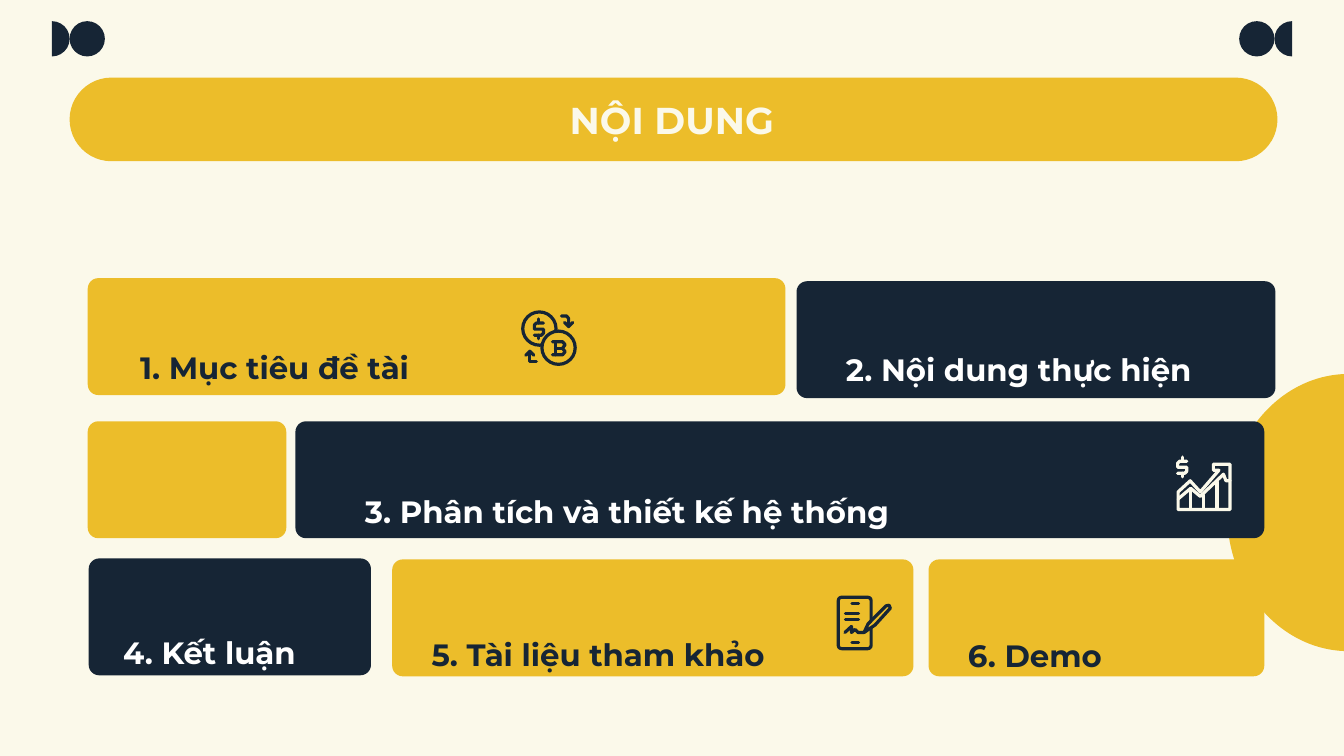
from lxml.etree import SubElement
from pptx import Presentation
from pptx.dml.color import RGBColor
from pptx.enum.shapes import MSO_SHAPE as Shape
from pptx.enum.text import MSO_ANCHOR as Anchor, PP_ALIGN as Align
from pptx.oxml.ns import qn
from pptx.util import Inches, Pt

GOLD, NAVY, CREAM, WHITE = "ECBD2A", "162535", "FBF9EA", "FFFFFF"
FONT = "Montserrat"
CELL = Inches(0.01)  # one step of a 1333 x 750 grid
COLS, ROWS = 1333, 750
HALF = (54, 162)  # pie angles of a left half disc
TILE = 116
ICON = 55

# x, y, width, fill, label, label offset x, y, label width
TILES = [
    (87, 276, 692, GOLD, "1. Mục tiêu đề tài", 39, 20, 490),
    (790, 279, 475, NAVY, "2. Nội dung thực hiện", 36, 19, 402),
    (87, 418, 197, GOLD, None, 0, 0, 0),
    (293, 418, 961, NAVY, "3. Phân tích và thiết kế hệ thống", 56, 21, 743),
    (88, 554, 280, NAVY, "4. Kết luận", 21, 25, 309),
    (389, 555, 517, GOLD, "5. Tài liệu tham khảo", 26, 26, 481),
    (921, 555, 333, GOLD, "6. Demo", 26, 27, 307),
]

# Icon strokes, in grid steps from the corner of the icon
DOLLAR = [
    [(11, 5.5), (4, 5.5), (2, 7.5), (2, 11.5), (11, 11.5), (11, 15.5),
     (9, 17.5), (2, 17.5)],
    [(6.5, 1.5), (6.5, 5.5)],
    [(6.5, 17.5), (6.5, 21)],
]
COINS = [
    [(31, 31), (41, 31), (43.5, 34), (41, 37.5), (43.5, 41), (41, 44), (31, 44)],
    [(34, 31), (34, 44)],
    [(34, 37.5), (41, 37.5)],
    [(15, 50.5), (8.5, 50.5), (8.5, 41)],
    [(4.5, 44.5), (8.5, 40.5), (12.5, 44.5)],
    [(40, 5.5), (45, 5.5), (47, 8), (47, 15)],
    [(43, 12), (47, 16), (51, 12)],
]
GROWTH = [
    [(2.5, 53.5), (2.5, 36), (14.5, 25), (24.5, 36), (43, 14.5), (37.5, 14.5),
     (37.5, 8.5), (54, 8.5), (54, 53.5), (2.5, 53.5)],
    [(2.5, 43), (15, 32.5), (24.5, 40.5), (47.5, 18.5), (50, 25), (54, 25)],
    [(15, 34), (15, 53)],
    [(28, 39), (28, 53)],
    [(41, 26), (41, 53)],
]
LINES = [[(x, y), (21.5, y)]
         for x, y in ((15, 7.5), (8.5, 17.5), (8.5, 23.5), (15, 46.5))]
SIGN = [[(8, 36.5), (14.5, 30.5), (14.5, 36.5), (18, 33.5), (21, 36.5), (27, 36.5)]]
PEN = [(27, 36.5), (31, 28), (49, 10), (52, 9.5), (53, 12.5), (38, 29), (27, 36.5)]


def tint(code):
    return RGBColor.from_string(code)


def grid(*steps):
    return [round(step * CELL) for step in steps]


def paint(shape, fill=None, line=None):
    shape.shadow.inherit = False
    if fill:
        shape.fill.solid()
        shape.fill.fore_color.rgb = tint(fill)
    else:
        shape.fill.background()
    if line:
        shape.line.width = Pt(2.3)
        shape.line.color.rgb = tint(line)
        edge = shape.line._get_or_add_ln()
        edge.set("cap", "rnd")
        SubElement(edge, qn("a:round"))
    else:
        shape.line.fill.background()


def block(shapes, kind, box, fill=None, line=None, adjust=()):
    shape = shapes.add_shape(kind, *grid(*box))
    for i, value in enumerate(adjust):
        shape.adjustments[i] = value
    paint(shape, fill, line)
    return shape


def label(slide, box, text, size, color, align, space, pad, anchor):
    frame = slide.shapes.add_textbox(*grid(*box)).text_frame
    inset = Inches(pad)
    look = dict(word_wrap=True, vertical_anchor=anchor, margin_left=inset,
                margin_right=inset, margin_top=inset, margin_bottom=inset)
    para = frame.paragraphs[0]
    run = para.add_run()
    run.text = text
    run.font.color.rgb = tint(color)
    for part, values in (
        (frame, look),
        (para, dict(alignment=align, line_spacing=space)),
        (run.font, dict(name=FONT, size=Pt(size), bold=True)),
    ):
        for key, value in values.items():
            setattr(part, key, value)


def stroke(shapes, x, y, points, color, fill=None):
    spots = [grid(x + dx, y + dy) for dx, dy in points]
    form = shapes.build_freeform(*spots[0], scale=1.0)
    form.add_line_segments(spots[1:], close=points[0] == points[-1])
    paint(form.convert_to_shape(), fill, color)


def draw(shapes, x, y, strokes, color):
    for points in strokes:
        stroke(shapes, x, y, points, color)


def decor(slide):
    block(slide.shapes, Shape.PIE, (1217, 371, 241, 275), GOLD, adjust=HALF)
    disc = 35
    for pie, dot, turn in ((34, 69, 180), (1264, 1229, 0)):
        pair = slide.shapes.add_group_shape().shapes
        half = block(pair, Shape.PIE, (pie, 21, disc, disc), NAVY, adjust=HALF)
        half.rotation = turn
        block(pair, Shape.OVAL, (dot, 21, disc, disc), NAVY)


def banner(slide, x, y, wide, high):
    block(slide.shapes, Shape.ROUNDED_RECTANGLE, (x, y, wide, high), GOLD,
          adjust=(0.5,))
    label(slide, (x + 36, y, 1123, high), "NỘI DUNG", 26.7, CREAM,
          Align.CENTER, 1.0, 0, Anchor.MIDDLE)


def tile(slide, x, y, wide, fill, text, dx, dy, span):
    block(slide.shapes, Shape.ROUNDED_RECTANGLE, (x, y, wide, TILE), fill,
          adjust=(0.09,))
    if text:
        color, align = ((WHITE, Align.JUSTIFY) if fill == NAVY
                        else (NAVY, Align.LEFT))
        label(slide, (x + dx, y + dy, span, 150), text, 22, color, align,
              2.0, 0.13, Anchor.TOP)


def coins(slide, x, y):
    shapes = slide.shapes.add_group_shape().shapes
    for dx, dy in ((1.5, 1.5), (20.5, 20.5)):
        block(shapes, Shape.OVAL, (x + dx, y + dy, 33, 33), GOLD, NAVY)
    draw(shapes, x + 11, y + 7, DOLLAR, NAVY)
    draw(shapes, x, y, COINS, NAVY)


def growth(slide, x, y):
    shapes = slide.shapes.add_group_shape().shapes
    draw(shapes, x, y, DOLLAR + GROWTH, CREAM)


def phone(slide, x, y):
    shapes = slide.shapes.add_group_shape().shapes
    block(shapes, Shape.ROUNDED_RECTANGLE, (x + 1.5, y + 1.5, 32.5, 51), None,
          NAVY, (0.1,))
    draw(shapes, x, y, LINES + SIGN, NAVY)
    stroke(shapes, x, y, PEN, NAVY, GOLD)


def main():
    deck = Presentation()
    deck.slide_width, deck.slide_height = grid(COLS, ROWS)
    slide = deck.slides.add_slide(deck.slide_layouts[6])
    back = slide.background.fill
    back.solid()
    back.fore_color.rgb = tint(CREAM)

    decor(slide)
    banner(slide, 69, 77, 1198, 83)
    for item in TILES:
        tile(slide, *item)
    # Icons sit on tiles 1, 3 and 5
    coins(slide, 517, 308)
    growth(slide, 1166, 452)
    phone(slide, 830, 591)
    deck.save("out.pptx")


if __name__ == "__main__":
    main()
